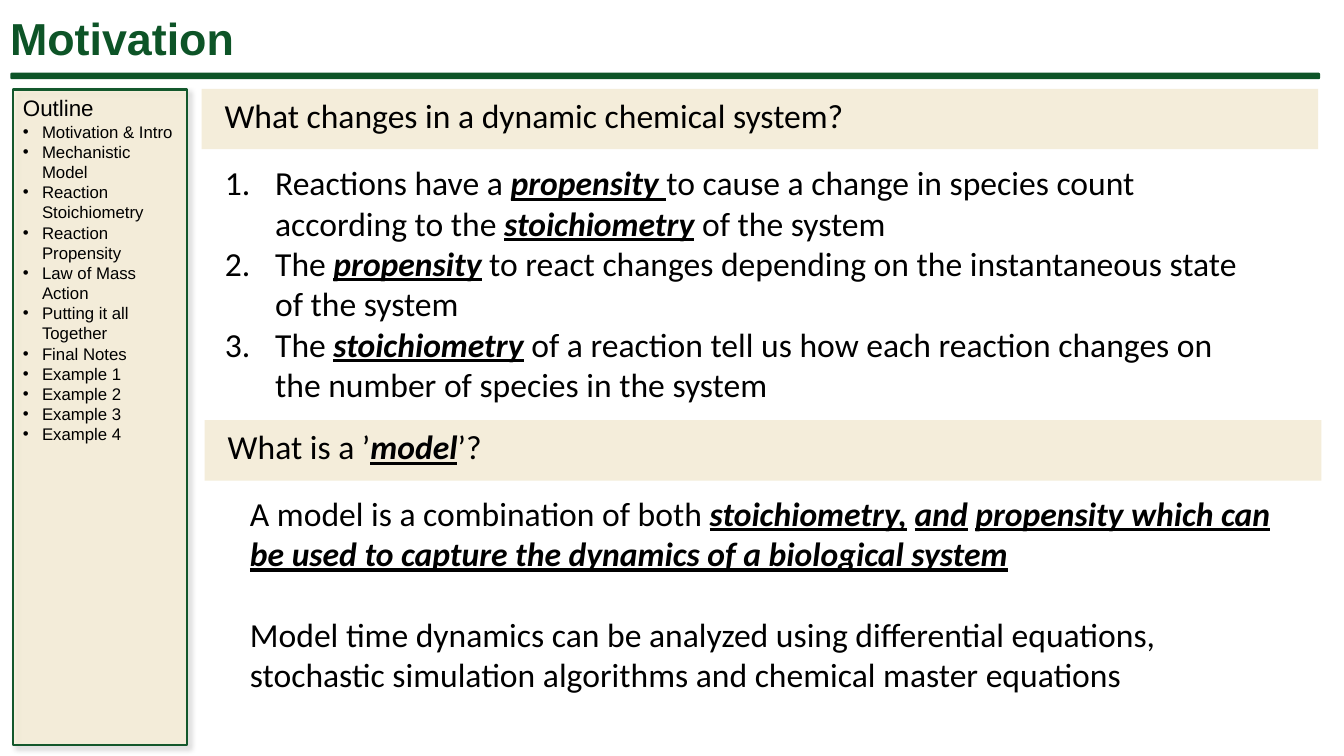
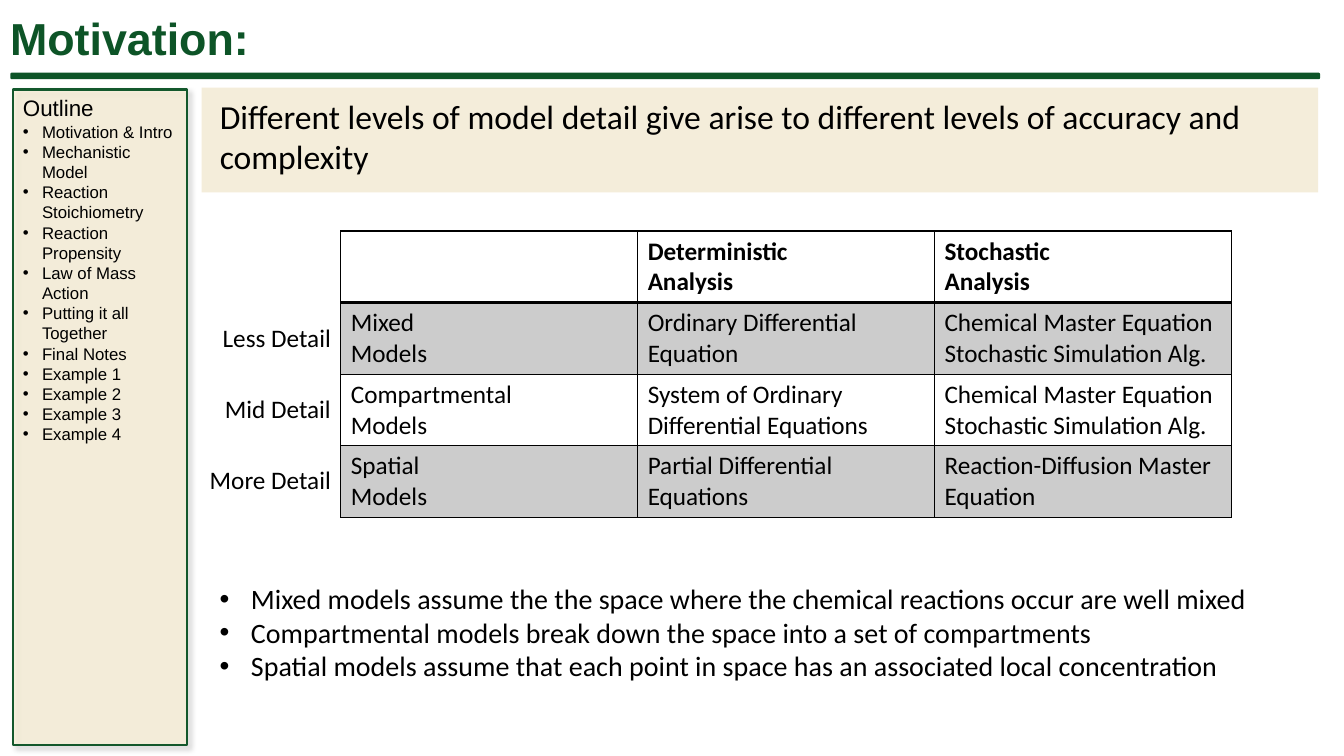
from dataclasses import dataclass

from lxml.etree import SubElement
from pptx import Presentation
from pptx.dml.color import RGBColor as Rgb
from pptx.enum.shapes import MSO_SHAPE as Shape
from pptx.enum.text import MSO_ANCHOR as Anchor, MSO_AUTO_SIZE as AutoSize, PP_ALIGN as Align
from pptx.oxml.ns import qn
from pptx.util import Cm, Pt


@dataclass(frozen=True)
class Theme:
    green: str = "0D5427"
    frame: str = "13582C"
    panel: str = "FFF2CC"
    band: str = "F4EDDA"
    ink: str = "000000"
    heading_font: str = "Arial"
    text_font: str = "Calibri"
    title: int = 32
    text: int = 24
    note: int = 20
    table: int = 18
    outline: int = 16
    item: int = 12


THEME = Theme()
EMPHASIS = {"bold": True, "italic": True, "underline": True}
OUTLINE = [
    "Motivation & Intro", "Mechanistic Model", "Reaction Stoichiometry",
    "Reaction Propensity", "Law of Mass Action", "Putting it all Together",
    "Final Notes", "Example 1", "Example 2", "Example 3", "Example 4",
]
REACTION_POINTS = [
    "Reactions have a *propensity *to cause a change in species count according to the *stoichiometry* of the system",
    "The *propensity* to react changes depending on the instantaneous state of the system",
    "The *stoichiometry* of a reaction tell us how each reaction changes on the number of species in the system",
]
MODEL_TEXT = [
    "A model is a combination of both *stoichiometry,* *and* "
    "*propensity which can be used to capture the dynamics of a biological system*",
    "Model time dynamics can be analyzed using differential equations, "
    "stochastic simulation algorithms and chemical master equations",
]
MODEL_NOTES = [
    "Mixed models assume the the space where the chemical reactions occur are well mixed",
    "Compartmental models break down the space into a set of compartments",
    "Spatial models assume that each point in space has an associated local concentration",
]
MASTER_EQUATION = "Chemical Master Equation\nStochastic Simulation Alg."
MODEL_ROWS = [
    ["", "Deterministic\nAnalysis", "Stochastic\nAnalysis"],
    ["Mixed\nModels", "Ordinary Differential\nEquation", MASTER_EQUATION],
    ["Compartmental\nModels", "System of Ordinary Differential Equations", MASTER_EQUATION],
    ["Spatial\nModels", "Partial Differential\nEquations", "Reaction-Diffusion Master\nEquation"],
]
DETAIL_LABELS = ["Less Detail", "Mid Detail", "More Detail"]
TABLE_LEFT, TABLE_TOP, COLUMN_WIDTH, ROW_HEIGHT = 8.59, 5.82, 7.48, 1.79
LABEL_WIDTH = 3.8


def set_values(target, values):
    for name, value in values.items():
        setattr(target, name, value)


def place(shape, box):
    set_values(shape, dict(zip(("left", "top", "width", "height"), map(Cm, box))))


def set_alpha(properties, percent):
    color = properties.find(f"{qn('a:solidFill')}/{qn('a:srgbClr')}")
    SubElement(color, qn("a:alpha"), val=str(percent * 1000))


def add_runs(paragraph, text, size, font=THEME.text_font, color=THEME.ink, **values):
    for index, part in enumerate(text.split("*")):
        if part:
            run = paragraph.add_run()
            run.text = part
            emphasis = EMPHASIS if index % 2 else {}
            set_values(run.font, {"name": font, "size": Pt(size), **values, **emphasis})
            run.font.color.rgb = Rgb.from_string(color)


def set_marker(paragraph, indent, numbered=False):
    properties = paragraph._p.get_or_add_pPr()
    properties.set("marL", str(Cm(indent)))
    properties.set("indent", str(-Cm(indent)))
    if numbered:
        SubElement(properties, qn("a:buAutoNum"), type="arabicPeriod")
    else:
        SubElement(properties, qn("a:buFont"), typeface="Arial")
        SubElement(properties, qn("a:buChar"), char="•")


def fill_text(frame, lines, size, indent=0, numbered=False, align=Align.LEFT, gap=0, **values):
    for index, line in enumerate(lines):
        paragraph = frame.add_paragraph() if index else frame.paragraphs[0]
        if indent:
            set_marker(paragraph, indent, numbered)
        set_values(paragraph, {"alignment": align, "space_before": Pt(gap if index else 0)})
        add_runs(paragraph, line, size, **values)


def set_frame(frame, anchor=Anchor.TOP):
    set_values(frame, {"word_wrap": True, "auto_size": AutoSize.NONE, "vertical_anchor": anchor})
    return frame


def add_text(slide, box, lines, size, anchor=Anchor.TOP, **values):
    frame = set_frame(slide.shapes.add_textbox(*map(Cm, box)).text_frame, anchor)
    fill_text(frame, lines, size, **values)
    return frame


def add_block(slide, kind, box, fill, line=None, width=1):
    shape = slide.shapes.add_shape(kind, *map(Cm, box))
    shape.fill.solid()
    shape.fill.fore_color.rgb = Rgb.from_string(fill)
    if line:
        shape.line.color.rgb = Rgb.from_string(line)
        shape.line.width = Pt(width)
    else:
        shape.line.fill.background()
    shape.shadow.inherit = False
    return shape


def add_band(slide, box, text, inset):
    band = add_block(slide, Shape.RECTANGLE, box, THEME.band)
    frame = set_frame(band.text_frame, Anchor.MIDDLE)
    set_values(frame, {"margin_left": Cm(inset), "margin_top": 0, "margin_bottom": Cm(0.2)})
    fill_text(frame, [text], THEME.text)


def add_sidebar(slide):
    box = (0.33, 2.26, 4.39, 16.51)
    panel = add_block(slide, Shape.RECTANGLE, box, THEME.panel, THEME.frame, 1.75)
    properties = panel.element.spPr
    set_alpha(properties, 50)
    shadow = SubElement(
        properties.find(qn("a:effectLst")), qn("a:outerShdw"),
        blurRad=str(Pt(4)), dist=str(Pt(3)), dir="2700000", algn="tl", rotWithShape="0",
    )
    color = SubElement(shadow, qn("a:srgbClr"), val=THEME.ink)
    SubElement(color, qn("a:alpha"), val="18000")
    frame = add_text(slide, box, ["Outline"], THEME.outline, font=THEME.heading_font)
    for item in OUTLINE:
        paragraph = frame.add_paragraph()
        set_marker(paragraph, 0.48)
        add_runs(paragraph, item, THEME.item, THEME.heading_font)


def add_slide(presentation, title):
    slide = presentation.slides.add_slide(presentation.slide_layouts[1])
    place(slide.shapes.title, (0, 0.13, 33.02, 1.63))
    frame = set_frame(slide.shapes.title.text_frame)
    fill_text(frame, [title], THEME.title, font=THEME.heading_font, color=THEME.green, bold=True)
    add_block(slide, Shape.ROUNDED_RECTANGLE, (0.28, 1.85, 32.97, 0.13), THEME.green, THEME.green)
    add_sidebar(slide)
    return slide


def fill_body(slide, box, lines, size, **values):
    body = slide.placeholders[1]
    place(body, box)
    fill_text(set_frame(body.text_frame), lines, size, **values)


def set_borders(cell, widths):
    properties = cell._tc.get_or_add_tcPr()
    for index, (side, width) in enumerate(zip("LRTB", widths)):
        line = SubElement(properties, qn(f"a:ln{side}"), w=str(Pt(width)))
        SubElement(SubElement(line, qn("a:solidFill")), qn("a:srgbClr"), val=THEME.ink)
        properties.insert(index, line)


def fill_cell(cell, text, row):
    if row % 2:
        cell.fill.solid()
        cell.fill.fore_color.rgb = Rgb.from_string(THEME.ink)
        set_alpha(cell._tc.tcPr, 20)
    else:
        cell.fill.background()
    set_borders(cell, (1, 1, 2 if row == 1 else 1, 2 if row == 0 else 1))
    fill_text(cell.text_frame, text.split("\n"), THEME.table, bold=row == 0)


def add_model_table(slide):
    rows, columns = len(MODEL_ROWS), len(MODEL_ROWS[0])
    box = (TABLE_LEFT, TABLE_TOP, columns * COLUMN_WIDTH, rows * ROW_HEIGHT)
    table = slide.shapes.add_table(rows, columns, *map(Cm, box)).table
    set_values(table, {"first_row": False, "horz_banding": False})
    for row, texts in enumerate(MODEL_ROWS):
        for column, text in enumerate(texts):
            fill_cell(table.cell(row, column), text, row)
    for row, label in enumerate(DETAIL_LABELS, 1):
        box = (TABLE_LEFT - LABEL_WIDTH, TABLE_TOP + row * ROW_HEIGHT, LABEL_WIDTH, ROW_HEIGHT)
        add_text(slide, box, [label], THEME.table, Anchor.MIDDLE, align=Align.RIGHT)


def build_definitions(presentation):
    slide = add_slide(presentation, "Motivation")
    add_band(slide, (5.08, 2.24, 28.14, 1.52), "What changes in a dynamic chemical system?", 0.58)
    fill_body(slide, (5.41, 3.96, 26.37, 6.4), REACTION_POINTS, THEME.text, indent=1.27, numbered=True)
    add_band(slide, (5.16, 10.59, 28.14, 1.52), "What is a ’*model*’?", 0.58)
    add_text(slide, (6.05, 12.29, 26.37, 5.38), MODEL_TEXT, THEME.text, gap=29)


def build_detail_levels(presentation):
    slide = add_slide(presentation, "Motivation:")
    add_band(
        slide, (5.08, 2.21, 28.14, 2.64),
        "Different levels of model detail give arise to different levels of accuracy and complexity", 0.46,
    )
    add_model_table(slide)
    fill_body(slide, (5.28, 14.53, 26.64, 2.82), MODEL_NOTES, THEME.note, indent=0.79)


def main():
    presentation = Presentation()
    set_values(presentation, {"slide_width": Cm(33.87), "slide_height": Cm(19.05)})
    build_definitions(presentation)
    build_detail_levels(presentation)
    presentation.save("out.pptx")


if __name__ == "__main__":
    main()
